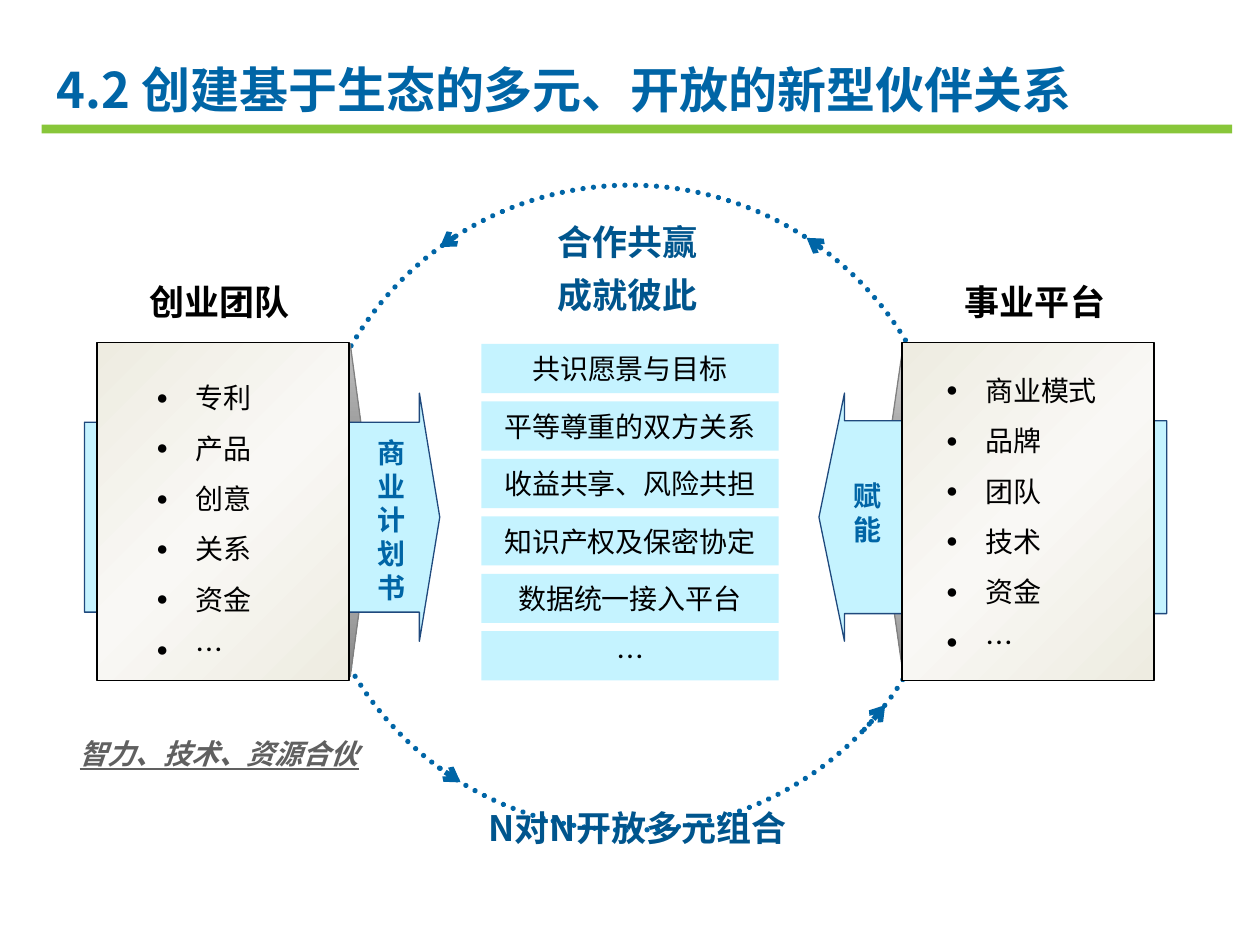
"""Build the slide on open, ecosystem-based partnerships."""
from dataclasses import dataclass
from math import cos, radians, sin

from pptx import Presentation
from pptx.dml.color import RGBColor
from pptx.enum.dml import MSO_LINE
from pptx.enum.shapes import MSO_SHAPE
from pptx.enum.text import MSO_ANCHOR, MSO_AUTO_SIZE, PP_ALIGN
from pptx.oxml import parse_xml
from pptx.oxml.ns import nsdecls, qn
from pptx.util import Inches, Pt

FONT = "Noto Sans CJK SC"
BLUE = RGBColor(0x00, 0x65, 0xA6)
DARK_BLUE = RGBColor(0x00, 0x55, 0x8D)
NAVY = RGBColor(0x1F, 0x49, 0x7D)
PALE_BLUE = RGBColor(0xC5, 0xF3, 0xFF)
GREEN = RGBColor(0x88, 0xC6, 0x3A)
BLACK = RGBColor(0x00, 0x00, 0x00)
TEXT_GRAY = RGBColor(0x60, 0x60, 0x60)
EDGE_GRAY = RGBColor(0x80, 0x80, 0x80)
SILVER = RGBColor(0xC0, 0xC0, 0xC0)
LIGHT_GRAY = RGBColor(0xDD, 0xDD, 0xDD)
MID_GRAY = RGBColor(0x86, 0x86, 0x86)
CREAM = RGBColor(0xEE, 0xEC, 0xE1)
IVORY = RGBColor(0xF9, 0xF8, 0xF5)

CENTER_X, CENTER_Y, RADIUS = 5, 4.03, 2.56
ARC_STEPS = 40
ARC_ANGLES = [(126.2, 37.7), (236.3, 121.7), (304.6, 233.9), (43.4, -56.8)]
AGREEMENTS = ["共识愿景与目标", "平等尊重的双方关系", "收益共享、风险共担",
              "知识产权及保密协定", "数据统一接入平台", "…"]


@dataclass
class Panel:
    """One partner: its card, the folds behind it, its arrow and its list."""
    card: tuple
    folds: list
    fold_color: RGBColor
    arrow: MSO_SHAPE
    arrow_box: tuple
    arrow_ratios: tuple
    list_box: tuple
    items: list


@dataclass
class Label:
    """A free-standing text with its box and format."""
    text: str
    box: tuple
    style: dict


HEADING = dict(size=20, bold=True, align=PP_ALIGN.CENTER, spacing=1.25)
SLOGAN = dict(HEADING, color=DARK_BLUE)
ARROW_TEXT = dict(size=16, bold=True, align=PP_ALIGN.CENTER, color=BLUE)
NOTE = dict(ARROW_TEXT, color=TEXT_GRAY, italic=True, underline=True)

PANELS = [
    Panel((0.77, 2.72, 2, 2.68),
          [[(2.78, 2.73), (2.93, 3.84), (1.15, 3.84), (0.99, 2.73)],
           [(2.78, 5.37), (2.93, 4.26), (1.15, 4.26), (1, 5.37)]],
          SILVER, MSO_SHAPE.RIGHT_ARROW, (0.67, 3.12, 2.82, 1.97), (0.765, 0.082),
          (1.14, 2.84, 1.34, 2.52), ["专利", "产品", "创意", "关系", "资金", "…"]),
    Panel((7.16, 2.72, 2, 2.68),
          [[(7.17, 2.73), (7.01, 3.83), (8.84, 3.83), (9, 2.73)],
           [(7.17, 5.36), (7.01, 4.25), (8.82, 4.25), (8.98, 5.36)]],
          LIGHT_GRAY, MSO_SHAPE.LEFT_ARROW, (6.5, 3.12, 2.76, 1.97), (0.777, 0.103),
          (7.41, 2.78, 1.76, 2.52), ["商业模式", "品牌", "团队", "技术", "资金", "…"]),
]
LABELS = [
    Label("智力、技术、资源合伙", (0.45, 5.8, 2.58, 0.37), NOTE),
    Label("事业平台", (7.38, 2.09, 1.67, 0.48), HEADING),
    Label("创业团队", (0.99, 2.09, 1.51, 0.47), HEADING),
    Label("合作共赢\n成就彼此", (4.06, 1.62, 1.84, 0.94), SLOGAN),
    Label("商业计划书", (2.87, 3.41, 0.47, 1.45), ARROW_TEXT),
    Label("赋能", (6.65, 3.75, 0.47, 0.64), ARROW_TEXT),
    Label("N对N开放多元组合", (3.7, 6.27, 2.72, 0.48), SLOGAN),
]


def write(frame, text: str, *, size: float, color: RGBColor = BLACK, bold: bool = False,
          italic: bool = False, underline: bool = False, align=PP_ALIGN.LEFT,
          spacing: float = 1, hanging: float = 0, bullet: str = "",
          anchor=MSO_ANCHOR.TOP) -> None:
    """Fill a text frame, one paragraph for each line of the text."""
    frame.word_wrap = True
    frame.auto_size = MSO_AUTO_SIZE.NONE
    frame.vertical_anchor = anchor
    for index, line in enumerate(text.split("\n")):
        para = frame.paragraphs[0] if index == 0 else frame.add_paragraph()
        para.alignment = align
        para.line_spacing = spacing
        para.space_before = Pt(0)
        properties = para._p.get_or_add_pPr()
        if hanging:
            properties.set("marL", str(Inches(hanging)))
            properties.set("indent", str(-Inches(hanging)))
        if bullet:
            for tag, value in (("buSzPct", 'val="70000"'), ("buChar", f'char="{bullet}"')):
                properties.append(parse_xml(f'<a:{tag} {nsdecls("a")} {value}/>'))
        span = para.add_run()
        span.text = line
        font = span.font
        font.size, font.bold, font.italic, font.underline = Pt(size), bold, italic, underline
        font.color.rgb = color
        font.name = FONT
        span._r.get_or_add_rPr().append(
            parse_xml(f'<a:ea {nsdecls("a")} typeface="{FONT}"/>'))


def place(shape, box: tuple) -> None:
    """Move and size a shape in inches."""
    shape.left, shape.top, shape.width, shape.height = map(Inches, box)


def paint(shape, colors: list, angle: int = 0, line: RGBColor | None = None) -> None:
    """Give a shape a plain or gradient fill and a thin or absent outline."""
    shape.shadow.inherit = False
    shape.fill.solid()
    shape.fill.fore_color.rgb = colors[0]
    if len(colors) > 1:
        step = 100000 // (len(colors) - 1)
        stops = "".join(f'<a:gs pos="{index * step}"><a:srgbClr val="{color}"/></a:gs>'
                        for index, color in enumerate(colors))
        solid = shape._element.spPr.find(qn("a:solidFill"))
        shape._element.spPr.replace(solid, parse_xml(
            f'<a:gradFill {nsdecls("a")} rotWithShape="1"><a:gsLst>{stops}</a:gsLst>'
            f'<a:lin ang="{angle * 60000}" scaled="0"/></a:gradFill>'))
    if line is None:
        shape.line.fill.background()
    else:
        shape.line.color.rgb = line
        shape.line.width = Pt(0.75)


def add_block(slide, kind, box: tuple, colors: list, **look):
    """Add a painted preset shape."""
    shape = slide.shapes.add_shape(kind, *map(Inches, box))
    paint(shape, colors, **look)
    return shape


def add_outline(slide, points: list, close: bool):
    """Add a freeform through points given in inches."""
    corners = [(Inches(x), Inches(y)) for x, y in points]
    builder = slide.shapes.build_freeform(*corners[0])
    builder.add_line_segments(corners[1:], close=close)
    return builder.convert_to_shape()


def add_arc(slide, start: float, end: float) -> None:
    """Draw a dotted arrow along the circle between two angles."""
    angles = [radians(start + (end - start) * step / ARC_STEPS)
              for step in range(ARC_STEPS + 1)]
    arc = add_outline(slide, [(CENTER_X + RADIUS * cos(angle), CENTER_Y + RADIUS * sin(angle))
                              for angle in angles], close=False)
    arc.shadow.inherit = False
    arc.fill.background()
    arc.line.color.rgb = BLUE
    arc.line.width = Pt(3)
    arc.line.dash_style = MSO_LINE.ROUND_DOT
    stroke = arc.line._get_or_add_ln()
    stroke.set("cap", "rnd")
    stroke.append(parse_xml(f'<a:tailEnd {nsdecls("a")} type="arrow"/>'))


def add_panel(slide, panel: Panel, body) -> None:
    """Draw a partner panel and lay its list on top."""
    for fold in panel.folds:
        paint(add_outline(slide, fold, close=True), [panel.fold_color, MID_GRAY],
              angle=90, line=EDGE_GRAY)
    arrow = add_block(slide, panel.arrow, panel.arrow_box, [PALE_BLUE], line=NAVY)
    for index, ratio in enumerate(panel.arrow_ratios):
        arrow.adjustments[index] = ratio
    add_block(slide, MSO_SHAPE.RECTANGLE, panel.card, [CREAM, IVORY, CREAM],
              angle=45, line=BLACK)
    place(body, panel.list_box)
    write(body.text_frame, "\n".join(panel.items), size=16, spacing=1.5,
          hanging=0.31, bullet="●")
    slide.shapes._spTree.append(body._element)


def main() -> None:
    """Build and save the deck."""
    deck = Presentation()
    deck.slide_width, deck.slide_height = Inches(10), Inches(7.5)
    page = deck.slides.add_slide(deck.slide_layouts[3])
    title, *bodies = list(page.placeholders)[:3]
    place(title, (0.35, 0.38, 9.37, 0.53))
    write(title.text_frame, "4.2 创建基于生态的多元、开放的新型伙伴关系", size=28, color=BLUE,
          bold=True, spacing=1.25, hanging=0.31, anchor=MSO_ANCHOR.MIDDLE)
    add_block(page, MSO_SHAPE.RECTANGLE, (0.33, 0.99, 9.45, 0.07), [GREEN])
    for start, end in ARC_ANGLES:
        add_arc(page, start, end)
    for panel, body in zip(PANELS, bodies):
        add_panel(page, panel, body)
    for index, text in enumerate(AGREEMENTS):
        row = add_block(page, MSO_SHAPE.RECTANGLE, (3.82, 2.73 + index * 0.456, 2.36, 0.39),
                        [PALE_BLUE])
        write(row.text_frame, text, size=16, align=PP_ALIGN.CENTER, anchor=MSO_ANCHOR.MIDDLE)
    for label in LABELS:
        box = page.shapes.add_textbox(*map(Inches, label.box))
        write(box.text_frame, label.text, **label.style)
    deck.save("out.pptx")


if __name__ == "__main__":
    main()
